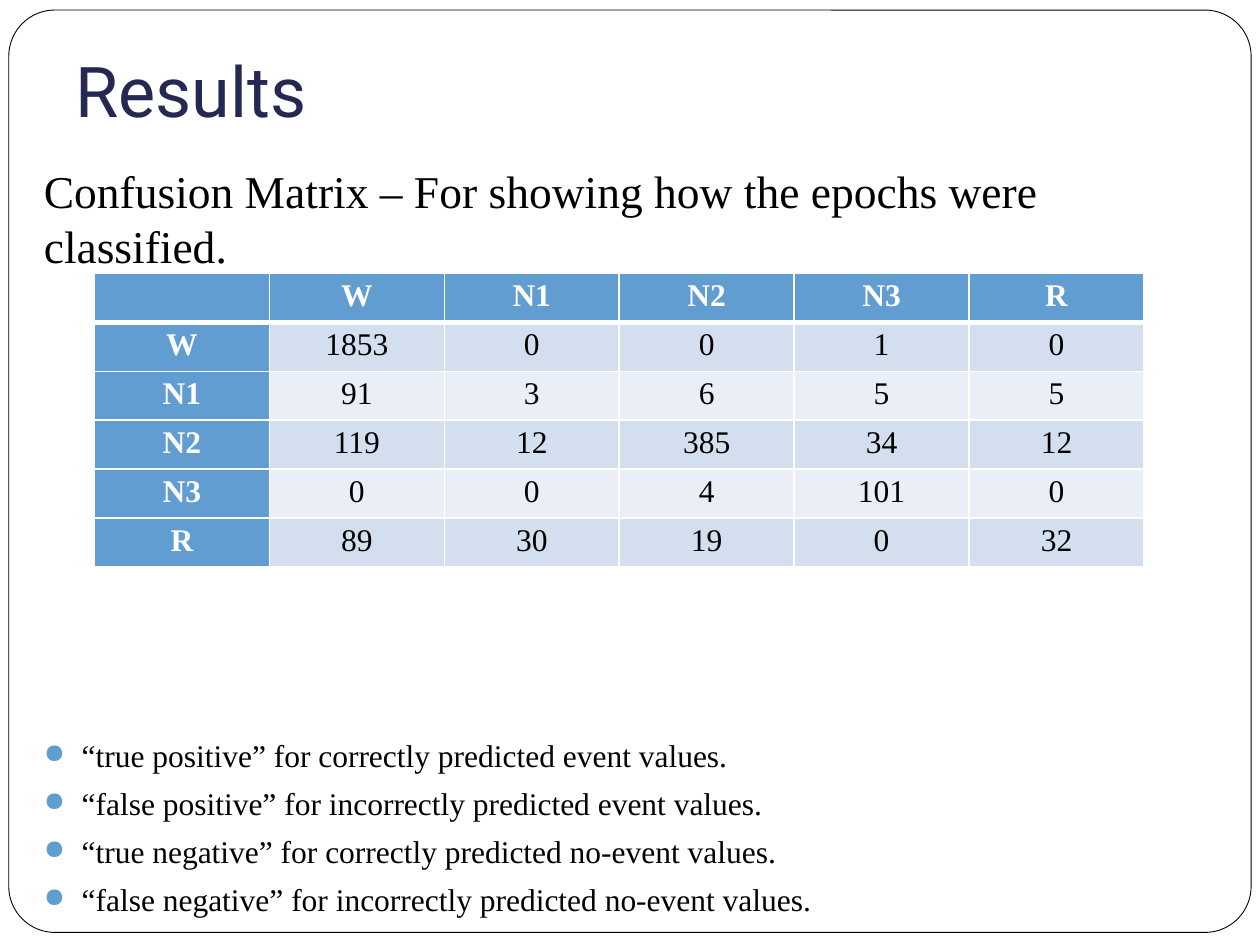
from lxml import etree
from pptx import Presentation
from pptx import util as u
from pptx.dml.color import RGBColor
from pptx.enum import shapes, text
from pptx.oxml import ns

COLORS = {
    "white": "FFFFFF",
    "black": "000000",
    "title": "242852",
    "accent": "629DD1",
    "band_dark": "D3DFEE",
    "band_light": "EAEFF7",
}
BODY_FONT = "Times New Roman"
STAGES = ["W", "N1", "N2", "N3", "R"]
COUNTS = [
    [1853, 0, 0, 1, 0],
    [91, 3, 6, 5, 5],
    [119, 12, 385, 34, 12],
    [0, 0, 4, 101, 0],
    [89, 30, 19, 0, 32],
]
DEFINITIONS = [
    "“true positive” for correctly predicted event values.",
    "“false positive” for incorrectly predicted event values.",
    "“true negative” for correctly predicted no-event values.",
    "“false negative” for incorrectly predicted no-event values.",
]


def rgb(name):
    return RGBColor.from_string(COLORS[name])


def add_element(parent, tag, **attributes):
    return etree.SubElement(parent, ns.qn(tag), attributes)


def add_run(paragraph, content, size, color, font=BODY_FONT, bold=False):
    run = paragraph.add_run()
    run.text = content
    run.font.size = u.Pt(size)
    run.font.name = font
    run.font.bold = bold
    run.font.color.rgb = rgb(color)


def add_frame(slide):
    shape = slide.shapes.add_shape(
        shapes.MSO_SHAPE.ROUNDED_RECTANGLE,
        u.Inches(0.07), u.Inches(0.08), u.Inches(9.86), u.Inches(7.32))
    shape.adjustments[0] = 0.05
    shape.shadow.inherit = False
    shape.fill.solid()
    shape.fill.fore_color.rgb = rgb("white")
    shape.line.color.rgb = rgb("black")
    shape.line.width = u.Pt(0.5)


def add_text_box(slide, left, top, width, height):
    box = slide.shapes.add_textbox(
        u.Inches(left), u.Inches(top), u.Inches(width), u.Inches(height))
    box.text_frame.word_wrap = True
    return box.text_frame


def add_title(slide):
    frame = add_text_box(slide, 0.5, 0.17, 8.5, 0.97)
    frame.vertical_anchor = text.MSO_ANCHOR.BOTTOM
    frame.margin_bottom = u.Inches(0.1)
    add_run(frame.paragraphs[0], "Results", 40, "title", "Roboto")


def add_intro(slide):
    paragraph = add_text_box(slide, 0.25, 1.25, 9.5, 0.95).paragraphs[0]
    paragraph.line_spacing = u.Pt(31)
    add_run(paragraph,
            "Confusion Matrix – For showing how the epochs were classified.",
            26, "black")


def set_bullet(paragraph):
    properties = paragraph._p.get_or_add_pPr()
    properties.set("marL", str(u.Inches(0.3)))
    properties.set("indent", str(u.Inches(-0.3)))
    color = add_element(properties, "a:buClr")
    add_element(color, "a:srgbClr", val=COLORS["accent"])
    add_element(properties, "a:buSzPct", val="85000")
    add_element(properties, "a:buChar", char="●")


def add_definitions(slide):
    frame = add_text_box(slide, 0.25, 5.79, 9.5, 1.38)
    for index, definition in enumerate(DEFINITIONS):
        paragraph = frame.add_paragraph() if index else frame.paragraphs[0]
        paragraph.line_spacing = u.Pt(21.6)
        if index:
            paragraph.space_before = u.Pt(5.8)
        set_bullet(paragraph)
        add_run(paragraph, definition, 18, "black")


def set_borders(cell, widths):
    properties = cell._tc.get_or_add_tcPr()
    for side, width in widths.items():
        line = add_element(properties, f"a:ln{side}", w=str(u.Pt(width)))
        fill = add_element(line, "a:solidFill")
        add_element(fill, "a:srgbClr", val=COLORS["white"])


def fill_cell(cell, content, row, column):
    is_header = row == 0 or column == 0
    set_borders(cell, {"L": 1, "R": 1,
                       "T": 3 if row == 1 else 1,
                       "B": 3 if row == 0 else 1})
    band = "band_dark" if row % 2 else "band_light"
    cell.fill.solid()
    cell.fill.fore_color.rgb = rgb("accent" if is_header else band)
    cell.margin_left = cell.margin_right = u.Inches(0.07)
    cell.margin_top = cell.margin_bottom = 0
    paragraph = cell.text_frame.paragraphs[0]
    paragraph.alignment = text.PP_ALIGN.CENTER
    paragraph.line_spacing = 1.15
    if content:
        add_run(paragraph, content, 18, "white" if is_header else "black",
                bold=is_header)


def add_confusion_matrix(slide):
    rows = [["", *STAGES]]
    rows += [[stage, *map(str, counts)] for stage, counts in zip(STAGES, COUNTS)]
    table = slide.shapes.add_table(
        len(rows), len(rows[0]),
        u.Inches(0.75), u.Inches(2.17), u.Inches(8.33), u.Inches(2.33)).table
    for row, values in enumerate(rows):
        for column, content in enumerate(values):
            fill_cell(table.cell(row, column), content, row, column)


def main():
    presentation = Presentation()
    presentation.slide_width = u.Inches(10)
    presentation.slide_height = u.Inches(7.5)
    slide = presentation.slides.add_slide(presentation.slide_layouts[6])
    add_frame(slide)
    add_title(slide)
    add_intro(slide)
    add_definitions(slide)
    add_confusion_matrix(slide)
    presentation.save("out.pptx")


if __name__ == "__main__":
    main()
